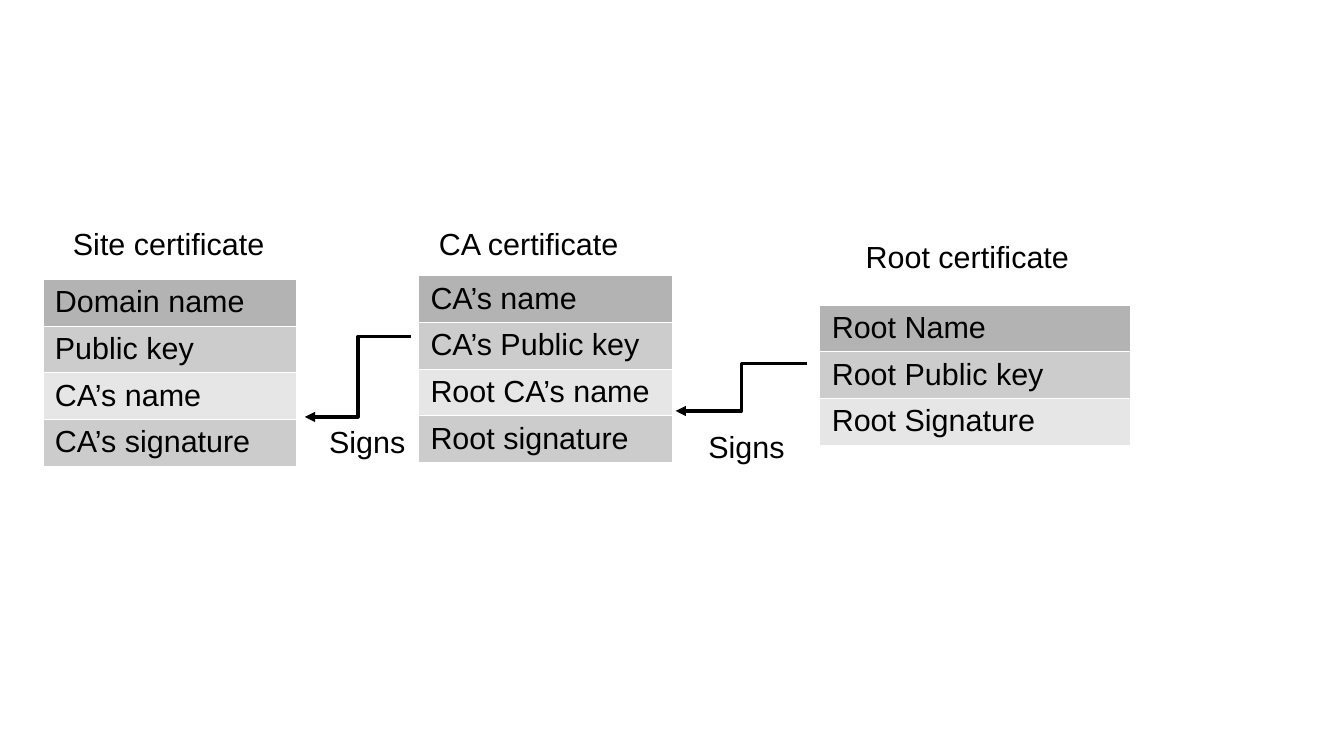
from lxml import etree
from pptx import Presentation
from pptx.dml.color import RGBColor
from pptx.enum.shapes import MSO_CONNECTOR
from pptx.enum.text import MSO_AUTO_SIZE
from pptx.oxml.ns import qn
from pptx.util import Inches, Pt

ELBOW = MSO_CONNECTOR.ELBOW
GROW = MSO_AUTO_SIZE.SHAPE_TO_FIT_TEXT
UNITS_PER_INCH = 10
ROW_HEIGHT = 3.83
BORDER_WIDTH = 720
BLACK, WHITE = "000000", "FFFFFF"
ROW_FILLS = ("B3B3B3", "CCCCCC", "E6E6E6", "CCCCCC")

CERTIFICATES = (
    (3.5, 22.9, 20.8, ("Domain name", "Public key", "CA’s name", "CA’s signature")),
    (34.3, 22.6, 20.8, ("CA’s name", "CA’s Public key", "Root CA’s name", "Root signature")),
    (67.2, 25, 25.5, ("Root Name", "Root Public key", "Root Signature")),
)
SIGNING_ARROWS = ((33.7, 27.6, 25, 34.2), (66.2, 29.8, 55.4, 33.7))
LABELS = (
    ("Site certificate", 5, 18, 18, 6.6),
    ("CA certificate", 35, 18, 19, 3.8),
    ("Root certificate", 70, 19, 22, 3.8),
    ("Signs", 57.1, 34.6, 10, 6.6),
    ("Signs", 26, 34.2, 10, 6.6),
)


def grid(*units):
    """Convert grid columns or rows to slide lengths."""
    return [Inches(unit / UNITS_PER_INCH) for unit in units]


def colour(hex_code):
    """Return the colour for a hex string."""
    return RGBColor.from_string(hex_code)


def write(frame, text, size=18, font="Arial", ink=BLACK):
    """Put formatted text into a text frame."""
    run = frame.paragraphs[0].add_run()
    run.text = text
    run.font.size = Pt(size)
    run.font.name = font
    run.font.color.rgb = colour(ink)


def add_borders(cell, hex_code):
    """Draw a thin line on every side of a cell."""
    properties = cell._tc.get_or_add_tcPr()
    for position, side in enumerate(("lnL", "lnR", "lnT", "lnB")):
        border = etree.Element(qn(f"a:{side}"), w=str(BORDER_WIDTH))
        fill = etree.SubElement(border, qn("a:solidFill"))
        etree.SubElement(fill, qn("a:srgbClr"), val=hex_code)
        properties.insert(position, border)


def add_certificate(slide, left, top, width, fields):
    """Add a certificate as a table with one field a row."""
    height = ROW_HEIGHT * len(fields)
    table = slide.shapes.add_table(len(fields), 1, *grid(left, top, width, height)).table
    table.first_row = table.horz_banding = False
    for index, (field, row_fill) in enumerate(zip(fields, ROW_FILLS)):
        cell = table.cell(index, 0)
        cell.fill.solid()
        cell.fill.fore_color.rgb = colour(row_fill)
        add_borders(cell, WHITE)
        write(cell.text_frame, field)


def add_signing_arrow(slide, *ends):
    """Add a bent arrow from a key to the signature it makes."""
    arrow = slide.shapes.add_connector(ELBOW, *grid(*ends))
    arrow.line.color.rgb = colour(BLACK)
    arrow.line.width = Pt(0)
    etree.SubElement(arrow.line._get_or_add_ln(), qn("a:tailEnd"), type="triangle")
    etree.SubElement(arrow._element.spPr, qn("a:effectLst"))


def add_label(slide, text, *box):
    """Add a text box that wraps and grows with its text."""
    frame = slide.shapes.add_textbox(*grid(*box)).text_frame
    frame.word_wrap = True
    frame.auto_size = GROW
    write(frame, text)


def main():
    """Build the slide with the chain of certificates."""
    deck = Presentation()
    deck.slide_width, deck.slide_height = grid(110.2, 62)
    slide = deck.slides.add_slide(deck.slide_layouts[6])
    for certificate in CERTIFICATES:
        add_certificate(slide, *certificate)
    for ends in SIGNING_ARROWS:
        add_signing_arrow(slide, *ends)
    for label in LABELS:
        add_label(slide, *label)
    deck.save("out.pptx")


if __name__ == "__main__":
    main()
